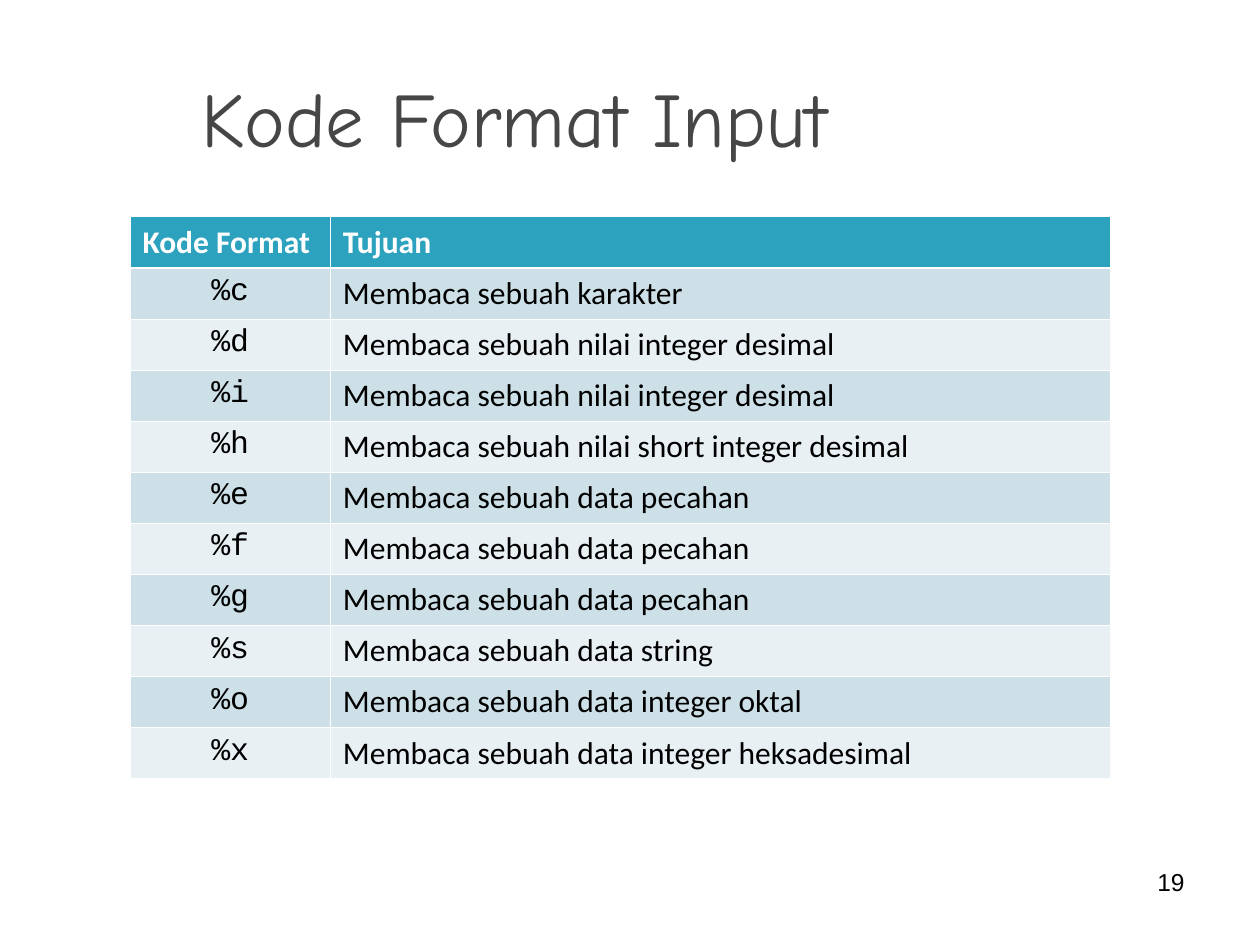
from lxml.etree import SubElement
from pptx import Presentation
from pptx.dml.color import RGBColor
from pptx.enum.text import MSO_ANCHOR, PP_ALIGN
from pptx.oxml.ns import qn
from pptx.util import Cm, Pt

WHITE = RGBColor(0xFF, 0xFF, 0xFF)
BLACK = RGBColor(0x00, 0x00, 0x00)
TITLE_GREY = RGBColor(0x46, 0x46, 0x46)
HEADER_TEAL = RGBColor(0x2D, 0xA2, 0xBF)
BAND_DARK = RGBColor(0xCD, 0xE0, 0xE8)
BAND_LIGHT = RGBColor(0xE8, 0xF0, 0xF4)

THIN, THICK = Pt(0.45), Pt(1.47)

HEADER = ("Kode Format", "Tujuan")
FORMAT_CODES = [
    ("%c", "Membaca sebuah karakter"),
    ("%d", "Membaca sebuah nilai integer desimal"),
    ("%i", "Membaca sebuah nilai integer desimal"),
    ("%h", "Membaca sebuah nilai short integer desimal"),
    ("%e", "Membaca sebuah data pecahan"),
    ("%f", "Membaca sebuah data pecahan"),
    ("%g", "Membaca sebuah data pecahan"),
    ("%s", "Membaca sebuah data string"),
    ("%o", "Membaca sebuah data integer oktal"),
    ("%x", "Membaca sebuah data integer heksadesimal"),
]


def write_text(frame, text, font, size, color, align=PP_ALIGN.LEFT, bold=False):
    para = frame.paragraphs[0]
    para.alignment = align
    span = para.add_run()
    span.text = text
    span.font.name = font
    span.font.size = Pt(size)
    span.font.bold = bold
    span.font.color.rgb = color


def add_text(page, box, anchor, *text_style):
    """Place a one-line text box; box is left, top, width, height."""
    frame = page.shapes.add_textbox(*box).text_frame
    frame.word_wrap = True
    frame.vertical_anchor = anchor
    write_text(frame, *text_style)


def set_borders(cell, top, bottom):
    """Draw white borders; the side lines are always thin."""
    properties = cell._tc.get_or_add_tcPr()
    for side, width in (("L", THIN), ("R", THIN), ("T", top), ("B", bottom)):
        line = SubElement(properties, qn(f"a:ln{side}"), w=str(int(width)))
        fill = SubElement(line, qn("a:solidFill"))
        SubElement(fill, qn("a:srgbClr"), val=str(WHITE))


def fill_cell(cell, color):
    cell.fill.solid()
    cell.fill.fore_color.rgb = color


def add_format_table(page, box):
    left, top, width, height = box
    row_count = len(FORMAT_CODES) + 1
    table = page.shapes.add_table(row_count, 2, left, top, width, height).table
    code_width = Cm(4.04)
    table.columns[0].width = code_width
    table.columns[1].width = width - code_width

    for cell, label in zip(table.rows[0].cells, HEADER):
        set_borders(cell, THIN, THICK)
        fill_cell(cell, HEADER_TEAL)
        write_text(cell.text_frame, label, "Calibri", 18, WHITE, bold=True)

    for number, (code, purpose) in enumerate(FORMAT_CODES, start=1):
        code_cell, purpose_cell = table.rows[number].cells
        for cell in (code_cell, purpose_cell):
            set_borders(cell, THICK if number == 1 else THIN, THIN)
            fill_cell(cell, BAND_DARK if number % 2 else BAND_LIGHT)
        write_text(code_cell.text_frame, code, "Courier New", 18, BLACK,
                   PP_ALIGN.CENTER)
        write_text(purpose_cell.text_frame, purpose, "Calibri", 18, BLACK)


def main():
    deck = Presentation()
    deck.slide_width, deck.slide_height = Cm(25.4), Cm(19.05)
    page = deck.slides.add_slide(deck.slide_layouts[6])

    add_text(page, (Cm(3.81), Cm(0.76), Cm(21.34), Cm(3.18)), MSO_ANCHOR.MIDDLE,
             "Kode Format Input", "Comic Neue", 44, TITLE_GREY)
    add_format_table(page, (Cm(2.62), Cm(4.37), Cm(19.76), Cm(11.33)))
    add_text(page, (Cm(18.21), Cm(17.35), Cm(5.92), Cm(1.32)), MSO_ANCHOR.TOP,
             "19", "Arial", 14, BLACK, PP_ALIGN.RIGHT)

    deck.save("out.pptx")


if __name__ == "__main__":
    main()
